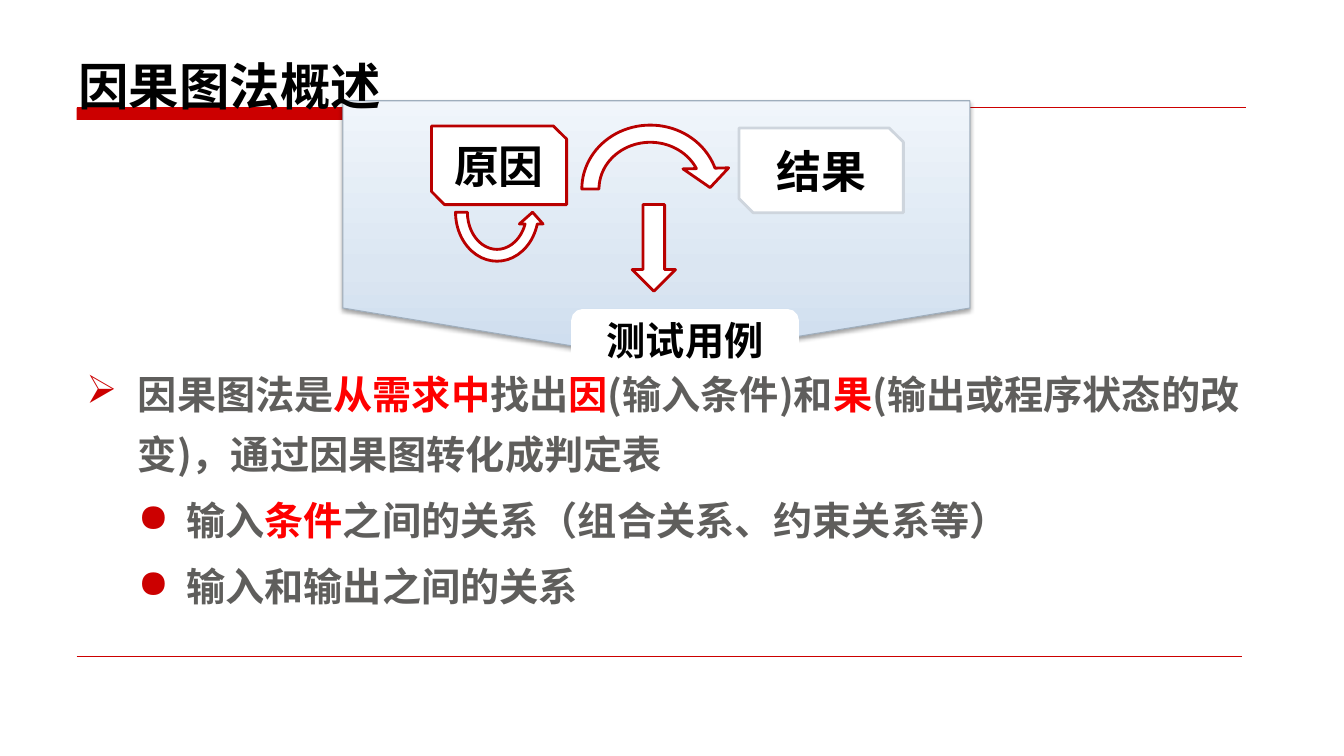
"""Build the slide on cause-effect graphing."""
from lxml import etree
from pptx import Presentation
from pptx.dml.color import RGBColor
from pptx.enum.shapes import MSO_CONNECTOR, MSO_SHAPE
from pptx.enum.text import MSO_ANCHOR, PP_ALIGN
from pptx.oxml import parse_xml
from pptx.oxml.ns import qn
from pptx.util import Inches, Pt

LINE = MSO_CONNECTOR.STRAIGHT
BAR, PANEL = MSO_SHAPE.RECTANGLE, MSO_SHAPE.FLOWCHART_OFFPAGE_CONNECTOR
SNIP, ROUND = MSO_SHAPE.SNIP_2_DIAG_RECTANGLE, MSO_SHAPE.ROUNDED_RECTANGLE
DOWN, ARC = MSO_SHAPE.DOWN_ARROW, MSO_SHAPE.CIRCULAR_ARROW
LEFT, CENTER = PP_ALIGN.LEFT, PP_ALIGN.CENTER
TOP, MIDDLE, BOTTOM = MSO_ANCHOR.TOP, MSO_ANCHOR.MIDDLE, MSO_ANCHOR.BOTTOM

RED = RGBColor(0xCC, 0x00, 0x00)
DARK = RGBColor(0xB9, 0x00, 0x00)
HOT = RGBColor(0xFF, 0x00, 0x00)
GREY = RGBColor(0x5F, 0x5E, 0x5C)
PALE = RGBColor(0xCE, 0xD5, 0xDD)
EDGE = RGBColor(0x9F, 0xAE, 0xBD)
WHITE = RGBColor(0xFF, 0xFF, 0xFF)
BLACK = RGBColor(0x00, 0x00, 0x00)
FONT = "Noto Sans CJK SC"
NS = 'xmlns:a="http://schemas.openxmlformats.org/drawingml/2006/main"'
STOPS = ((0, "CCDCEE"), (35, "DBE6F2"), (100, "F0F5FB"))

POINTS = (
    (0, "➢", (("因果图法是", GREY), ("从需求中", HOT), ("找出", GREY), ("因", HOT),
              ("(输入条件)和", GREY), ("果", HOT),
              ("(输出或程序状态的改变)，通过因果图转化成判定表", GREY))),
    (1, "●", (("输入", GREY), ("条件", HOT),
              ("之间的关系（组合关系、约束关系等）", GREY))),
    (1, "●", (("输入和输出之间的关系", GREY),)),
)
INDENT = ((0.51, -0.51), (0.99, -0.48))


def add_run(para, text, size, color):
    """Add one bold run in the slide's font."""
    run = para.add_run()
    run.text = text
    font = run.font
    font.name, font.size, font.bold = FONT, Pt(size), True
    font.color.rgb = color
    east = etree.SubElement(run._r.get_or_add_rPr(), qn("a:ea"))
    east.set("typeface", FONT)


def set_frame(shape, anchor):
    """Set wrapping and anchor, and return the text frame."""
    frame = shape.text_frame
    frame.word_wrap = True
    frame.vertical_anchor = anchor
    return frame


def add_form(slide, kind, box, line, width=2, fill=WHITE):
    """Add a preset shape with a plain fill and outline."""
    shape = slide.shapes.add_shape(kind, *map(Inches, box))
    shape.shadow.inherit = False
    shape.fill.solid()
    shape.fill.fore_color.rgb = fill
    shape.line.color.rgb = line
    shape.line.width = Pt(width)
    return shape


def add_card(slide, kind, box, line, text, size):
    """Add a white card with a centred label."""
    shape = add_form(slide, kind, box, line)
    para = set_frame(shape, MIDDLE).paragraphs[0]
    para.alignment = CENTER
    add_run(para, text, size, BLACK)


def add_rule(slide, left, top, width, weight):
    """Add a thin red horizontal rule."""
    ends = map(Inches, (left, top, left + width, top))
    rule = slide.shapes.add_connector(LINE, *ends)
    rule.line.color.rgb = RED
    rule.line.width = Pt(weight)
    etree.SubElement(rule._element.spPr, qn("a:effectLst"))


def add_arc(slide, box, thick, head, tip):
    """Add a curved arrow with the given band, head angle and tip."""
    shape = add_form(slide, ARC, box, DARK)
    for num, value in enumerate((thick, 11.42, head, 108, tip)):
        shape.adjustments[num] = value
    return shape


def add_panel(slide, box):
    """Add the shaded pentagon behind the diagram."""
    shape = add_form(slide, PANEL, box, EDGE, 0.75)
    props = shape._element.spPr
    stops = "".join(
        f'<a:gs pos="{pos * 1000}"><a:srgbClr val="{tone}"/></a:gs>'
        for pos, tone in STOPS)
    grad = parse_xml(f'<a:gradFill {NS} rotWithShape="1"><a:gsLst>{stops}</a:gsLst>'
                     '<a:lin ang="16200000" scaled="0"/></a:gradFill>')
    props.replace(props.find(qn("a:solidFill")), grad)
    props.find(qn("a:effectLst")).append(parse_xml(
        f'<a:outerShdw {NS} blurRad="{Pt(3.1)}" dist="{Pt(1.6)}" dir="5400000" '
        'rotWithShape="0"><a:srgbClr val="000000"><a:alpha val="38000"/>'
        '</a:srgbClr></a:outerShdw>'))


def add_frame(slide, left, top, width, foot):
    """Add the title bar with its rule and the rule at the foot."""
    bar = add_form(slide, BAR, (left, top, 6.79, 0.12), RED, fill=RED)
    bar.line.fill.background()
    add_rule(slide, left, top, width, 0.75)
    add_rule(slide, left, foot, width - 0.04, 0.25)


def add_graph(slide, left, top, width, height):
    """Draw causes, results and test cases inside the panel."""
    add_panel(slide, (left, top, width, height))
    add_card(slide, SNIP, (left + 0.88, top + 0.25, 1.34, 0.78), DARK, "原因", 32)
    add_card(slide, SNIP, (left + 3.93, top + 0.27, 1.63, 0.84), PALE, "结果", 32)
    add_form(slide, DOWN, (left + 2.87, top + 1.03, 0.43, 0.86), DARK)
    add_card(slide, ROUND, (left + 2.28, top + 2.08, 2.23, 0.59), WHITE,
             "测试用例", 28)
    loop = add_arc(slide, (left + 1.06, top + 0.56, 0.94, 1.09),
                   0.125, 204.58, 0.125)
    loop.rotation = 180
    loop._element.spPr.xfrm.set("flipH", "1")
    add_arc(slide, (left + 2.23, top + 0.1, 1.64, 1.55), 0.11, 203.78, 0.146)


def add_title(slide, box):
    """Add the slide title."""
    shape = slide.shapes.add_textbox(*map(Inches, box))
    add_run(set_frame(shape, BOTTOM).paragraphs[0], "因果图法概述", 36, BLACK)


def add_body(slide, box):
    """Add the bulleted points."""
    shape = slide.shapes.add_textbox(*map(Inches, box))
    frame = set_frame(shape, TOP)
    for num, (level, mark, runs) in enumerate(POINTS):
        para = frame.add_paragraph() if num else frame.paragraphs[0]
        para.alignment, para.level = LEFT, level
        para.line_spacing = 1.27
        para.space_before = Pt(4.5 if num else 0)
        props = para._p.get_or_add_pPr()
        margin, indent = INDENT[level]
        props.set("marL", str(Inches(margin)))
        props.set("indent", str(Inches(indent)))
        tint = etree.SubElement(props, qn("a:buClr"))
        etree.SubElement(tint, qn("a:srgbClr")).set("val", str(RED))
        etree.SubElement(props, qn("a:buChar")).set("char", mark)
        for text, color in runs:
            add_run(para, text, 28, color)


def main():
    """Build and save the deck."""
    deck = Presentation()
    deck.slide_width, deck.slide_height = Inches(13.33), Inches(7.5)
    slide = deck.slides.add_slide(deck.slide_layouts[6])
    add_frame(slide, 0.76, 1.07, 11.6, 6.51)
    add_graph(slide, 3.4, 1, 6.22, 2.57)
    add_title(slide, (0.68, 0.29, 11.67, 0.91))
    add_body(slide, (0.76, 3.5, 11.67, 2.4))
    deck.save("out.pptx")


if __name__ == "__main__":
    main()
